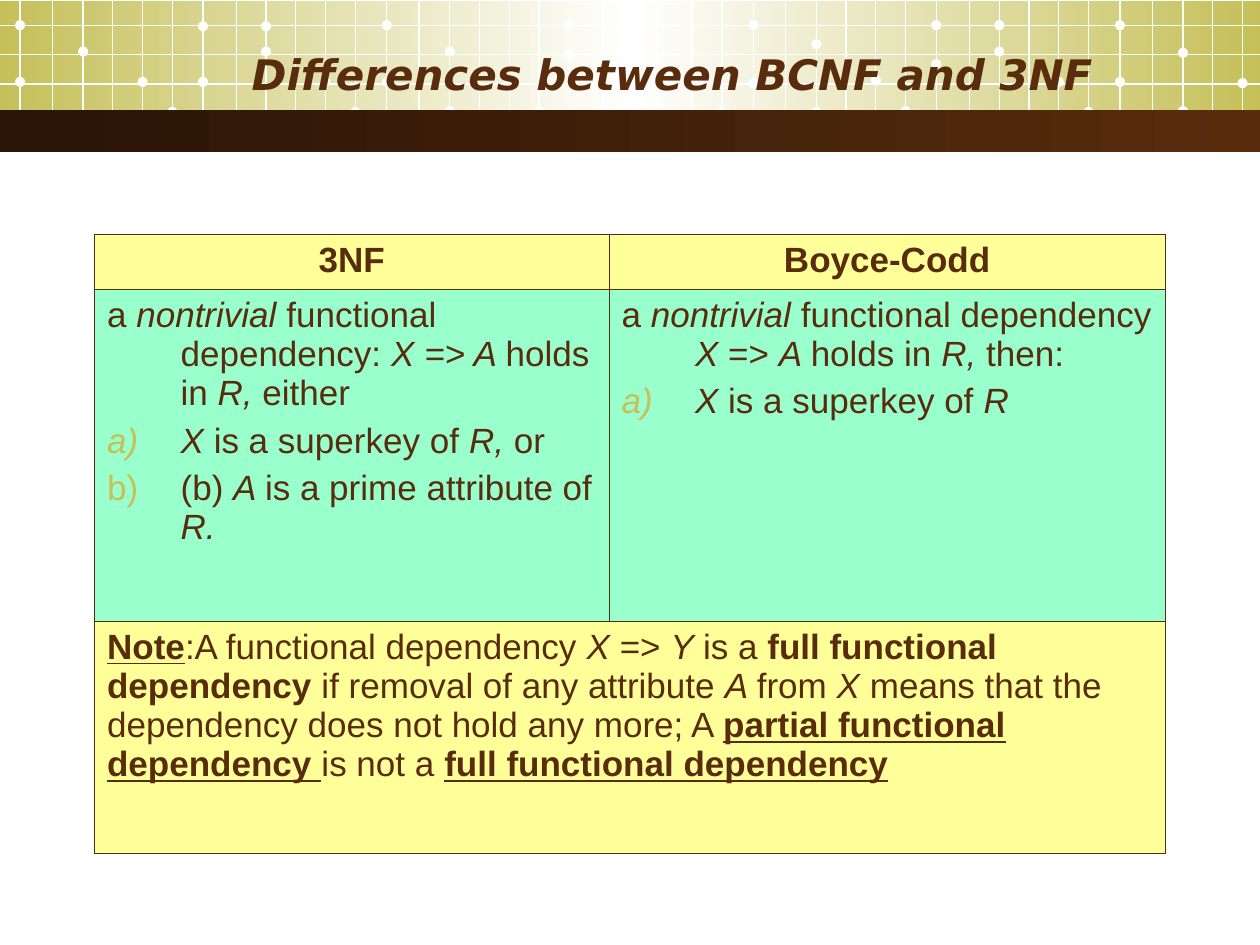
from copy import deepcopy

from lxml import etree
from pptx import Presentation
from pptx.dml import color
from pptx.enum import shapes, text
from pptx.oxml import ns
from pptx.util import Pt

THEME = {
    "brown": "592C0D", "dark": "291406", "olive": "C5C059", "white": "FFFFFF",
    "yellow": "FFFF99", "mint": "99FFCC",
    "title_font": "DejaVu Sans", "body_font": "Arial",
    "title_size": 24, "body_size": 20,
    "grid": 0.75, "outer": 1.08, "inner": 0.45,
}

TITLE = "Differences between BCNF and 3NF"
HEADINGS = ["3NF", "Boyce-Codd"]
THIRD_FORM = [
    ("hang", [("", "a "), ("i", "nontrivial "), ("", "functional dependency: "),
              ("i", "X => A "), ("", "holds in "), ("i", "R, "), ("", "either")]),
    ("letter", [("i", "X "), ("", "is a superkey of "), ("i", "R, "), ("", "or")]),
    ("letter", [("", "(b) "), ("i", "A "), ("", "is a prime attribute of "), ("i", "R.")]),
]
BOYCE_CODD = [
    ("hang", [("", "a "), ("i", "nontrivial "), ("", "functional dependency "),
              ("i", "X "), ("", "=> "), ("i", "A "), ("", "holds in "),
              ("i", "R, "), ("", "then:")]),
    ("letter", [("i", "X "), ("", "is a superkey of "), ("i", "R")]),
]
NOTE = [
    ("plain", [("bu", "Note"), ("", ":A functional dependency "), ("i", "X "),
               ("", "=> "), ("i", "Y "), ("", "is a "),
               ("b", "full functional dependency "),
               ("", "if removal of any attribute "), ("i", "A "), ("", "from "),
               ("i", "X "),
               ("", "means that the dependency does not hold any more; A "),
               ("bu", "partial functional dependency "), ("", "is not a "),
               ("bu", "full functional dependency")]),
]
HEADER_ROW = [[("center", [("b", heading)])] for heading in HEADINGS]
ROWS = [(31, "yellow", HEADER_ROW),
        (190, "mint", [THIRD_FORM, BOYCE_CODD]),
        (132.5, "yellow", [NOTE, []])]
COLUMN_WIDTHS = [294, 318]
TABLE_LEFT, TABLE_TOP = 54, 134
HANG = 42

GRID_LEFT, GRID_PERIOD, GRID_BOTTOM = 11.5, 209.5, 79
GRID_COLUMNS = [0, 18.5, 36, 53, 70, 87, 104.5, 123.5, 140.5, 157.5, 174.5, 191.5]
GRID_ROWS = [14.4, 31, 48, 64]
DOT_COLUMNS = [0, 0, 2, 2, 4, 5, 6, 6, 8, 8, 10, 11]
DOT_HEIGHTS = [
    [46.8, 14.4, 29.5, 65.5, 46.8, 64, 46.8, 15, 29.5, 15, 46.8, 64],
    [46.8, 14.4, 29.5, 63.5, 46.8, 63.5, 31, 14.4, 30.2, 14.4, 46.8, 64],
    [47.5, 14.4, 25.2, 64, 46, 63.5, 36.7, 14.4, 29.5, 14.4, 46.8, 64],
    [46.8, 14.4, 30.2, 63.5, 47.5],
]
DOT_SIZE = 5.8


def rgb(name):
    return color.RGBColor.from_string(THEME[name])


def apply(target, values):
    for name, value in values.items():
        setattr(target, name, value)


def add_preset(slide, kind, left, top, width, height):
    shape = slide.shapes.add_shape(kind, Pt(left), Pt(top), Pt(width), Pt(height))
    shape.shadow.inherit = False
    shape.line.fill.background()
    return shape


def add_gradient(slide, top, height, names):
    band = add_preset(slide, shapes.MSO_SHAPE.RECTANGLE, 0, top, 720, height)
    band.fill.gradient()
    band.fill.gradient_angle = 0
    stop_list = band._element.xpath(".//a:gsLst")[0]
    for _ in names[2:]:
        stop_list.append(deepcopy(stop_list[0]))
    for index, (stop, name) in enumerate(zip(band.fill.gradient_stops, names)):
        stop.color.rgb = rgb(name)
        stop.position = index / (len(names) - 1)


def add_grid_line(slide, x1, y1, x2, y2):
    line = slide.shapes.add_connector(
        shapes.MSO_CONNECTOR.STRAIGHT, Pt(x1), Pt(y1), Pt(x2), Pt(y2))
    line.line.color.rgb = rgb("white")
    line.line.width = Pt(THEME["grid"])
    etree.SubElement(line._element.spPr, ns.qn("a:effectLst"))


def add_header_band(slide):
    add_gradient(slide, 0.7, 73.5, ["olive", "white", "olive"])
    for group, heights in enumerate(DOT_HEIGHTS):
        start = GRID_LEFT + group * GRID_PERIOD
        for offset in GRID_COLUMNS:
            if start + offset < 720:
                add_grid_line(slide, start + offset, 0, start + offset, GRID_BOTTOM)
        for column, y in zip(DOT_COLUMNS, heights):
            x = start + GRID_COLUMNS[column]
            dot = add_preset(slide, shapes.MSO_SHAPE.OVAL, x - DOT_SIZE / 2,
                             y - DOT_SIZE / 2, DOT_SIZE, DOT_SIZE)
            dot.fill.solid()
            dot.fill.fore_color.rgb = rgb("white")
    for y in GRID_ROWS:
        add_grid_line(slide, 0, y, 720, y)
    add_gradient(slide, 63, 24, ["dark", "brown"])


def add_title(slide):
    title = slide.shapes.add_textbox(Pt(19.5), Pt(24), Pt(612), Pt(36)).text_frame
    apply(title, {"word_wrap": True, "vertical_anchor": text.MSO_ANCHOR.MIDDLE})
    line = title.paragraphs[0]
    line.alignment = text.PP_ALIGN.RIGHT
    run = line.add_run()
    run.text = TITLE
    apply(run.font, {"name": THEME["title_font"], "size": Pt(THEME["title_size"]),
                     "bold": True, "italic": True})
    run.font.color.rgb = rgb("brown")


def format_paragraph(paragraph, kind):
    props = paragraph._p.get_or_add_pPr()
    if kind in ("hang", "letter"):
        props.set("marL", str(Pt(HANG)))
        props.set("indent", str(-Pt(HANG)))
    if kind == "letter":
        bullet = etree.SubElement(props, ns.qn("a:buClr"))
        etree.SubElement(bullet, ns.qn("a:srgbClr"), val=THEME["olive"])
        etree.SubElement(props, ns.qn("a:buAutoNum"), type="alphaLcParenR")
    paragraph.alignment = (text.PP_ALIGN.CENTER if kind == "center"
                           else text.PP_ALIGN.LEFT)


def fill_text(frame, paragraphs):
    for index, (kind, runs) in enumerate(paragraphs):
        paragraph = frame.add_paragraph() if index else frame.paragraphs[0]
        format_paragraph(paragraph, kind)
        paragraph.space_before = Pt(5 if index else 0)
        for style, words in runs:
            run = paragraph.add_run()
            run.text = words
            apply(run.font, {"name": THEME["body_font"], "size": Pt(THEME["body_size"]),
                             "bold": "b" in style, "italic": "i" in style,
                             "underline": "u" in style})
            run.font.color.rgb = rgb("brown")


def add_borders(cell, outer_sides):
    props = cell._tc.get_or_add_tcPr()
    for side, is_outer in outer_sides.items():
        width = THEME["outer" if is_outer else "inner"]
        border = etree.SubElement(props, ns.qn(f"a:ln{side}"), w=str(Pt(width)))
        solid = etree.SubElement(border, ns.qn("a:solidFill"))
        etree.SubElement(solid, ns.qn("a:srgbClr"), val=THEME["brown"])


def add_comparison(slide):
    table = slide.shapes.add_table(
        len(ROWS), len(COLUMN_WIDTHS), Pt(TABLE_LEFT), Pt(TABLE_TOP),
        Pt(sum(COLUMN_WIDTHS)), Pt(sum(row[0] for row in ROWS))).table
    apply(table, {"first_row": False, "horz_banding": False})
    for column, width in zip(table.columns, COLUMN_WIDTHS):
        column.width = Pt(width)
    last_row, last_column = len(ROWS) - 1, len(COLUMN_WIDTHS) - 1
    table.cell(last_row, 0).merge(table.cell(last_row, last_column))
    for r, (height, fill, contents) in enumerate(ROWS):
        table.rows[r].height = Pt(height)
        for c, paragraphs in enumerate(contents):
            cell = table.cell(r, c)
            add_borders(cell, {"L": c == 0, "R": c == last_column or r == last_row,
                               "T": r == 0, "B": r == last_row})
            cell.fill.solid()
            cell.fill.fore_color.rgb = rgb(fill)
            fill_text(cell.text_frame, paragraphs)


def main():
    deck = Presentation()
    apply(deck, {"slide_width": Pt(720), "slide_height": Pt(540)})
    slide = deck.slides.add_slide(deck.slide_layouts[6])
    add_header_band(slide)
    add_title(slide)
    add_comparison(slide)
    deck.save("out.pptx")


if __name__ == "__main__":
    main()
